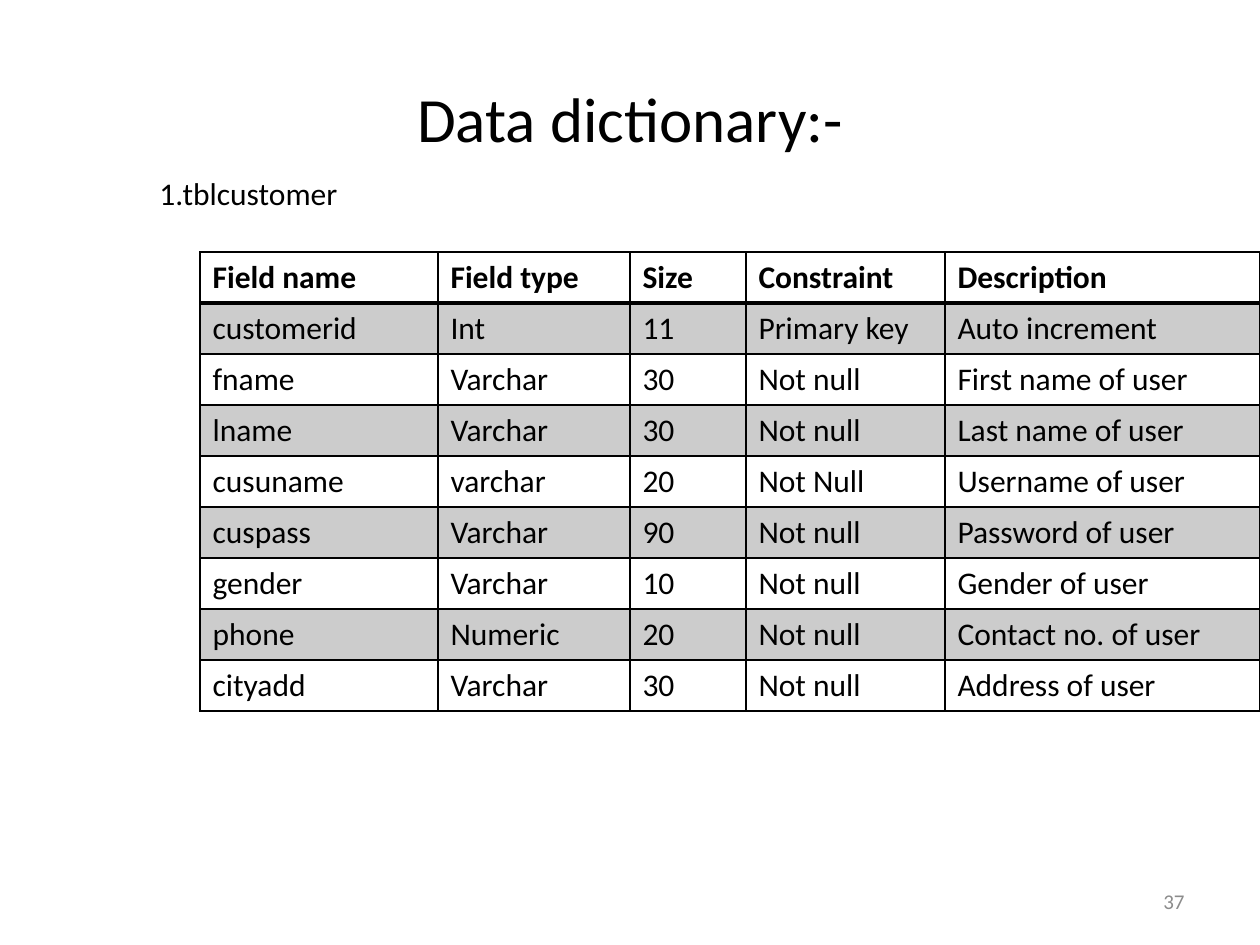
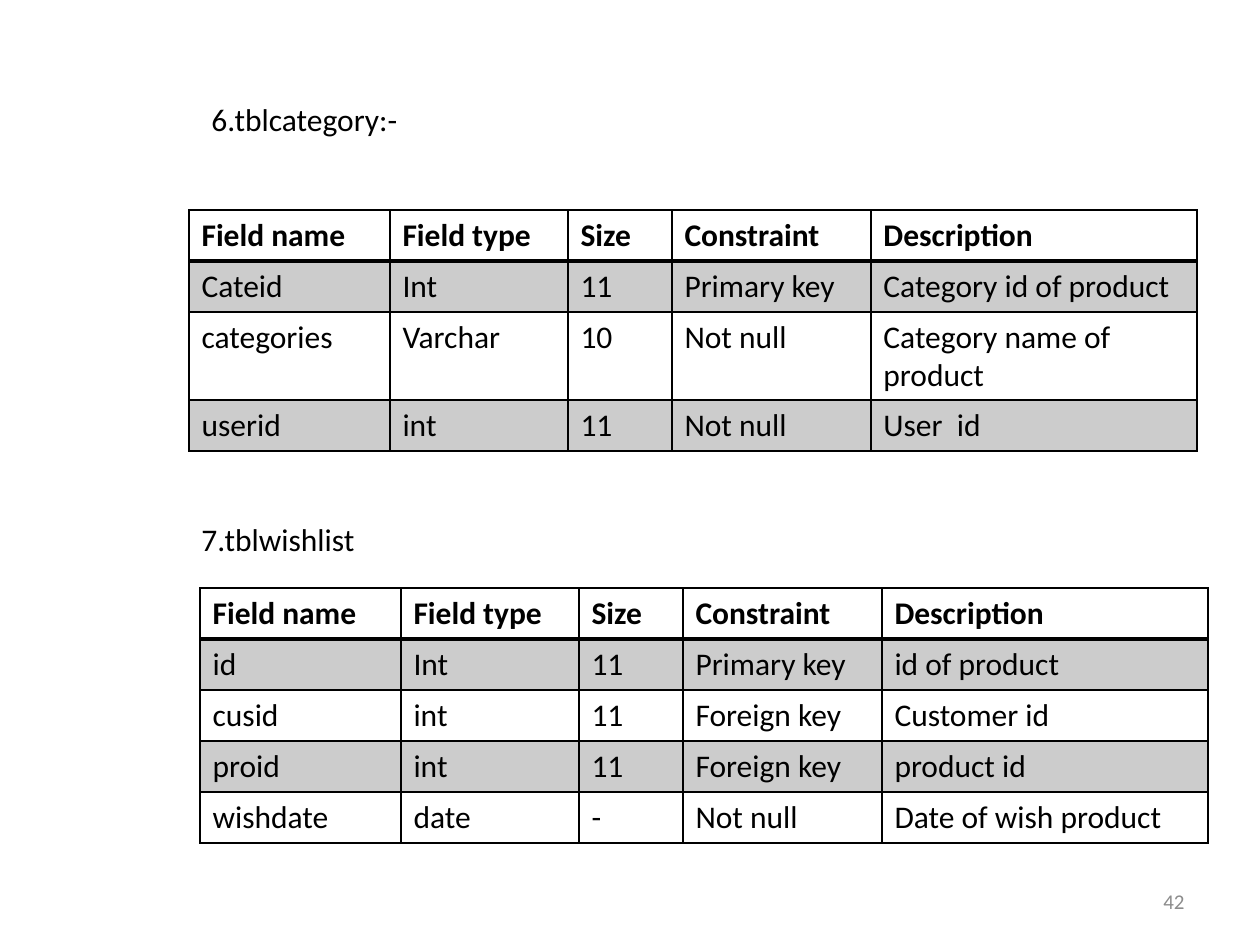
import dataclasses
import typing

import lxml.etree
import pptx
import pptx.dml.color
import pptx.enum.text
import pptx.oxml
import pptx.oxml.ns
import pptx.util

EMU_PER_PX = 914400 / 126
SLIDE_SIZE = (1260, 945)
TITLE_ONLY_LAYOUT, BLANK_LAYOUT = 5, 6


@dataclasses.dataclass(frozen=True)
class Theme:
    font: str = "Calibri"
    ink: str = "000000"
    muted: str = "8C8C8C"
    title_size: int = 36
    text_size: int = 18
    number_size: int = 12
    band_opacity: int = 20  # percent of ink
    rule: int = 1  # points
    header_rule: int = 2


THEME = Theme()


class Box(typing.NamedTuple):
    left: int
    top: int
    width: int
    height: int


class Label(typing.NamedTuple):
    text: str
    box: Box


@dataclasses.dataclass(frozen=True)
class FieldTable:
    """A database table: its label, place, column widths and field rows."""

    label: Label
    left: int
    top: int
    columns: tuple[int, ...]
    fields: tuple[tuple[str, ...], ...]


@dataclasses.dataclass(frozen=True)
class DictionarySlide:
    number: int
    tables: tuple[FieldTable, ...]
    title: str = ""


# Shared geometry and wording
TITLE_BOX = Box(63, 38, 1134, 158)
NUMBER_BOX = Box(903, 876, 294, 50)
ROW_HEIGHT = 51
HEADER = ("Field name", "Field type", "Size", "Constraint", "Description")
WIDE_COLUMNS = (238, 192, 116, 199, 315)
NARROW_COLUMNS = (201, 178, 104, 199, 326)

SLIDES = (
    DictionarySlide(
        number=37,
        title="Data dictionary:-",
        tables=(
            FieldTable(
                Label("1.tblcustomer", Box(147, 168, 205, 50)), 200, 252, WIDE_COLUMNS,
                (
                    ("customerid", "Int", "11", "Primary key", "Auto increment"),
                    ("fname", "Varchar", "30", "Not null", "First name of user"),
                    ("lname", "Varchar", "30", "Not null", "Last name of user"),
                    ("cusuname", "varchar", "20", "Not Null", "Username of user"),
                    ("cuspass", "Varchar", "90", "Not null", "Password of user"),
                    ("gender", "Varchar", "10", "Not null", "Gender of user"),
                    ("phone", "Numeric", "20", "Not null", "Contact no. of user"),
                    ("cityadd", "Varchar", "30", "Not null", "Address of user"),
                ),
            ),
        ),
    ),
    DictionarySlide(
        number=42,
        tables=(
            FieldTable(
                Label("6.tblcategory:-", Box(199, 94, 213, 50)), 189, 210, NARROW_COLUMNS,
                (
                    ("Cateid", "Int", "11", "Primary key", "Category id of product"),
                    ("categories", "Varchar", "10", "Not null", "Category name of product"),
                    ("userid", "int", "11", "Not null", "User  id"),
                ),
            ),
            FieldTable(
                Label("7.tblwishlist", Box(189, 514, 180, 50)), 200, 588, NARROW_COLUMNS,
                (
                    ("id", "Int", "11", "Primary key", "id of product"),
                    ("cusid", "int", "11", "Foreign key", "Customer id"),
                    ("proid", "int", "11", "Foreign key", "product id"),
                    ("wishdate", "date", "-", "Not null", "Date of wish product"),
                ),
            ),
        ),
    ),
)


def px(length: int) -> pptx.util.Emu:
    return pptx.util.Emu(round(length * EMU_PER_PX))


def apply(target: typing.Any, values: dict[str, typing.Any]) -> None:
    for name, value in values.items():
        setattr(target, name, value)


def write(text_frame: typing.Any, text: str, size: int, color: str = THEME.ink,
          bold: bool = False, align: typing.Any = pptx.enum.text.PP_ALIGN.LEFT) -> None:
    paragraph = text_frame.paragraphs[0]
    paragraph.alignment = align
    run = paragraph.add_run()
    run.text = text
    apply(run.font, {"name": THEME.font, "size": pptx.util.Pt(size), "bold": bold})
    run.font.color.rgb = pptx.dml.color.RGBColor.from_string(color)


# Titles, labels and slide numbers
def draw_title(slide: typing.Any, text: str) -> None:
    title = slide.shapes.title
    apply(title, {name: px(value) for name, value in TITLE_BOX._asdict().items()})
    title.text_frame.vertical_anchor = pptx.enum.text.MSO_ANCHOR.MIDDLE
    write(title.text_frame, text, THEME.title_size, align=pptx.enum.text.PP_ALIGN.CENTER)


def draw_label(slide: typing.Any, label: Label) -> None:
    text_frame = slide.shapes.add_textbox(*map(px, label.box)).text_frame
    apply(text_frame, {"word_wrap": False,
                       "auto_size": pptx.enum.text.MSO_AUTO_SIZE.SHAPE_TO_FIT_TEXT})
    write(text_frame, label.text, THEME.text_size)


def draw_number(slide: typing.Any, number: int) -> None:
    text_frame = slide.shapes.add_textbox(*map(px, NUMBER_BOX)).text_frame
    apply(text_frame, {"word_wrap": True,
                       "vertical_anchor": pptx.enum.text.MSO_ANCHOR.MIDDLE})
    write(text_frame, str(number), THEME.number_size, THEME.muted,
          align=pptx.enum.text.PP_ALIGN.RIGHT)


# Tables
def add_ink_fill(parent: typing.Any) -> typing.Any:
    fill = lxml.etree.SubElement(parent, pptx.oxml.ns.qn("a:solidFill"))
    return lxml.etree.SubElement(fill, pptx.oxml.ns.qn("a:srgbClr"), val=THEME.ink)


def style_cell(cell: typing.Any, row: int) -> None:
    properties = cell._tc.get_or_add_tcPr()
    widths = {
        "L": THEME.rule,
        "R": THEME.rule,
        "T": THEME.header_rule if row == 1 else THEME.rule,
        "B": THEME.header_rule if row == 0 else THEME.rule,
    }
    for side, width in widths.items():
        line = lxml.etree.SubElement(properties, pptx.oxml.ns.qn(f"a:ln{side}"),
                                     w=str(pptx.util.Pt(width)))
        add_ink_fill(line)
    if row % 2:
        color = add_ink_fill(properties)
        lxml.etree.SubElement(color, pptx.oxml.ns.qn("a:alpha"),
                              val=str(THEME.band_opacity * 1000))
    else:
        cell.fill.background()


def draw_table(slide: typing.Any, field_table: FieldTable) -> None:
    rows = (HEADER, *field_table.fields)
    columns = field_table.columns
    box = Box(field_table.left, field_table.top, sum(columns), ROW_HEIGHT * len(rows))
    table = slide.shapes.add_table(len(rows), len(columns), *map(px, box)).table
    for column, width in zip(table.columns, columns):
        column.width = px(width)
    for row_index, texts in enumerate(rows):
        table.rows[row_index].height = px(ROW_HEIGHT)
        for column_index, text in enumerate(texts):
            cell = table.cell(row_index, column_index)
            style_cell(cell, row_index)
            write(cell.text_frame, text, THEME.text_size, bold=row_index == 0)


def draw_slide(presentation: typing.Any, content: DictionarySlide) -> None:
    layout = TITLE_ONLY_LAYOUT if content.title else BLANK_LAYOUT
    slide = presentation.slides.add_slide(presentation.slide_layouts[layout])
    if content.title:
        draw_title(slide, content.title)
    for field_table in content.tables:
        draw_label(slide, field_table.label)
        draw_table(slide, field_table)
    draw_number(slide, content.number)


def main() -> None:
    presentation = pptx.Presentation()
    presentation.slide_width, presentation.slide_height = map(px, SLIDE_SIZE)
    for content in SLIDES:
        draw_slide(presentation, content)
    presentation.save("out.pptx")


if __name__ == "__main__":
    main()
